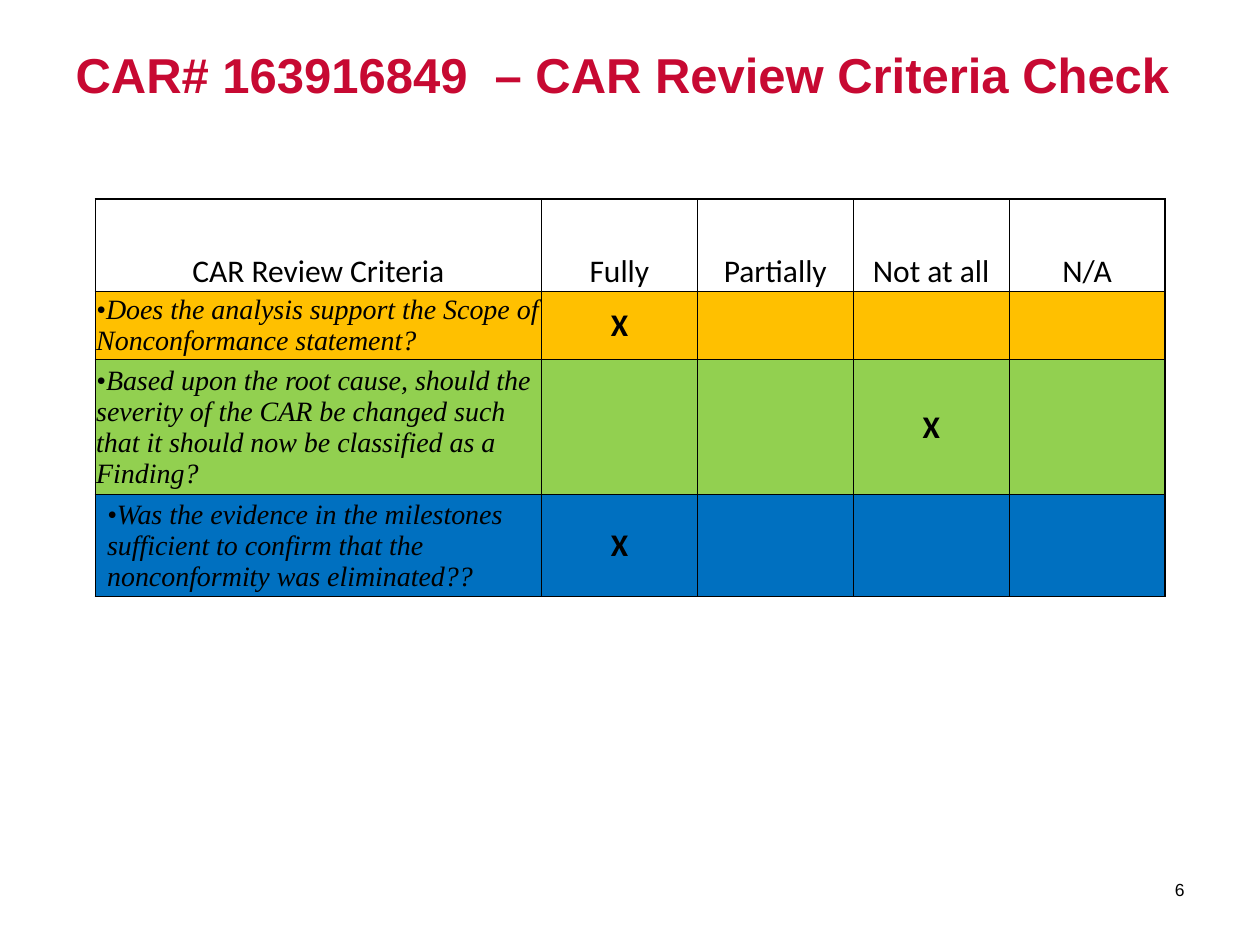
import pptx
import pptx.util
import pptx.dml.color
import pptx.enum.text
import pptx.oxml
import pptx.oxml.ns

Pt = pptx.util.Pt
ALIGN = pptx.enum.text.PP_ALIGN
ANCHOR = pptx.enum.text.MSO_ANCHOR

COLORS = {"title": "C70932", "text": "000000", "border": "000000",
          "amber": "FFC000", "green": "92D050", "blue": "0070C0"}

TITLE = "CAR# 163916849  – CAR Review Criteria Check"
PAGE = "6"
HEADERS = ["CAR Review Criteria", "Fully", "Partially", "Not at all", "N/A"]
# criterion, rating, row colour, row height, left margin
CRITERIA = [
    ("•Does the analysis support the Scope of Nonconformance statement?",
     "Fully", "amber", 36, 0.5),
    ("•Based upon the root cause, should the severity of the CAR be changed "
     "such that it should now be classified as a Finding?",
     "Not at all", "green", 72, 0.5),
    ("•Was the evidence in the milestones sufficient to confirm that the "
     "nonconformity was eliminated??", "Fully", "blue", 54, 6.7),
]
LEFT, TOP = 54.5, 113.8
HEADER_HEIGHT = 52.6
COL_WIDTHS = [254.9] + [89.1] * 4

FORMATS = {
    "title": {"name": "Arial", "size": Pt(28), "bold": True},
    "page": {"name": "Arial", "size": Pt(10)},
    "header": {"name": "Calibri", "size": Pt(18), "bold": False},
    "criterion": {"name": "Times New Roman", "size": Pt(16), "bold": False, "italic": True},
    "mark": {"name": "Calibri", "size": Pt(18), "bold": True},
}


def write(tf, text, style, align, color="text"):
    p = tf.paragraphs[0]
    p.alignment = align
    r = p.add_run()
    r.text = text
    for key, value in FORMATS[style].items():
        setattr(r.font, key, value)
    r.font.color.rgb = pptx.dml.color.RGBColor.from_string(COLORS[color])


def set_borders(cell, widths):
    """Add cell borders; widths maps L, R, T, B (in that order) to points."""
    tc_pr = cell._tc.get_or_add_tcPr()
    for side, width in widths.items():
        tc_pr.append(pptx.oxml.parse_xml(
            f'<a:ln{side} {pptx.oxml.ns.nsdecls("a")} w="{Pt(width)}">'
            f'<a:solidFill><a:srgbClr val="{COLORS["border"]}"/></a:solidFill>'
            f'</a:ln{side}>'))


def place(sp, left, top, width, height):
    sp.left, sp.top, sp.width, sp.height = map(Pt, (left, top, width, height))


prs = pptx.Presentation()
prs.slide_width, prs.slide_height = Pt(720), Pt(540)
s = prs.slides.add_slide(prs.slide_layouts[5])

title = s.shapes.title
place(title, 36, 21.6, 648, 90)
title.text_frame.vertical_anchor = ANCHOR.TOP
write(title.text_frame, TITLE, "title", ALIGN.LEFT, "title")

page = s.shapes.add_textbox(Pt(633.6), Pt(493.9), Pt(50.4), Pt(28.8))
page.text_frame.word_wrap = True
page.text_frame.vertical_anchor = ANCHOR.MIDDLE
write(page.text_frame, PAGE, "page", ALIGN.RIGHT)

heights = [HEADER_HEIGHT] + [row[3] for row in CRITERIA]
table = s.shapes.add_table(len(heights), len(COL_WIDTHS), Pt(LEFT), Pt(TOP),
                           Pt(sum(COL_WIDTHS)), Pt(sum(heights))).table
for column, width in zip(table.columns, COL_WIDTHS):
    column.width = Pt(width)
for row, height in zip(table.rows, heights):
    row.height = Pt(height)

last = len(HEADERS) - 1
for i in range(len(heights)):
    for j, header in enumerate(HEADERS):
        cell = table.cell(i, j)
        cell.margin_left = cell.margin_right = cell.margin_top = Pt(0.5)
        cell.margin_bottom = Pt(0)
        set_borders(cell, {"L": 1 if j == 0 else 0.5, "R": 1 if j == last else 0.5,
                           "T": 1 if i == 0 else 0.5, "B": 0.5})
        if i == 0:
            cell.fill.background()
            cell.vertical_anchor = ANCHOR.BOTTOM
            write(cell.text_frame, header, "header", ALIGN.CENTER)
            continue
        criterion, rating, color, _, margin = CRITERIA[i - 1]
        cell.fill.solid()
        cell.fill.fore_color.rgb = pptx.dml.color.RGBColor.from_string(COLORS[color])
        cell.vertical_anchor = ANCHOR.MIDDLE
        if j == 0:
            cell.margin_left = Pt(margin)
            write(cell.text_frame, criterion, "criterion", ALIGN.LEFT)
        elif header == rating:
            write(cell.text_frame, "X", "mark", ALIGN.CENTER)

prs.save("out.pptx")
